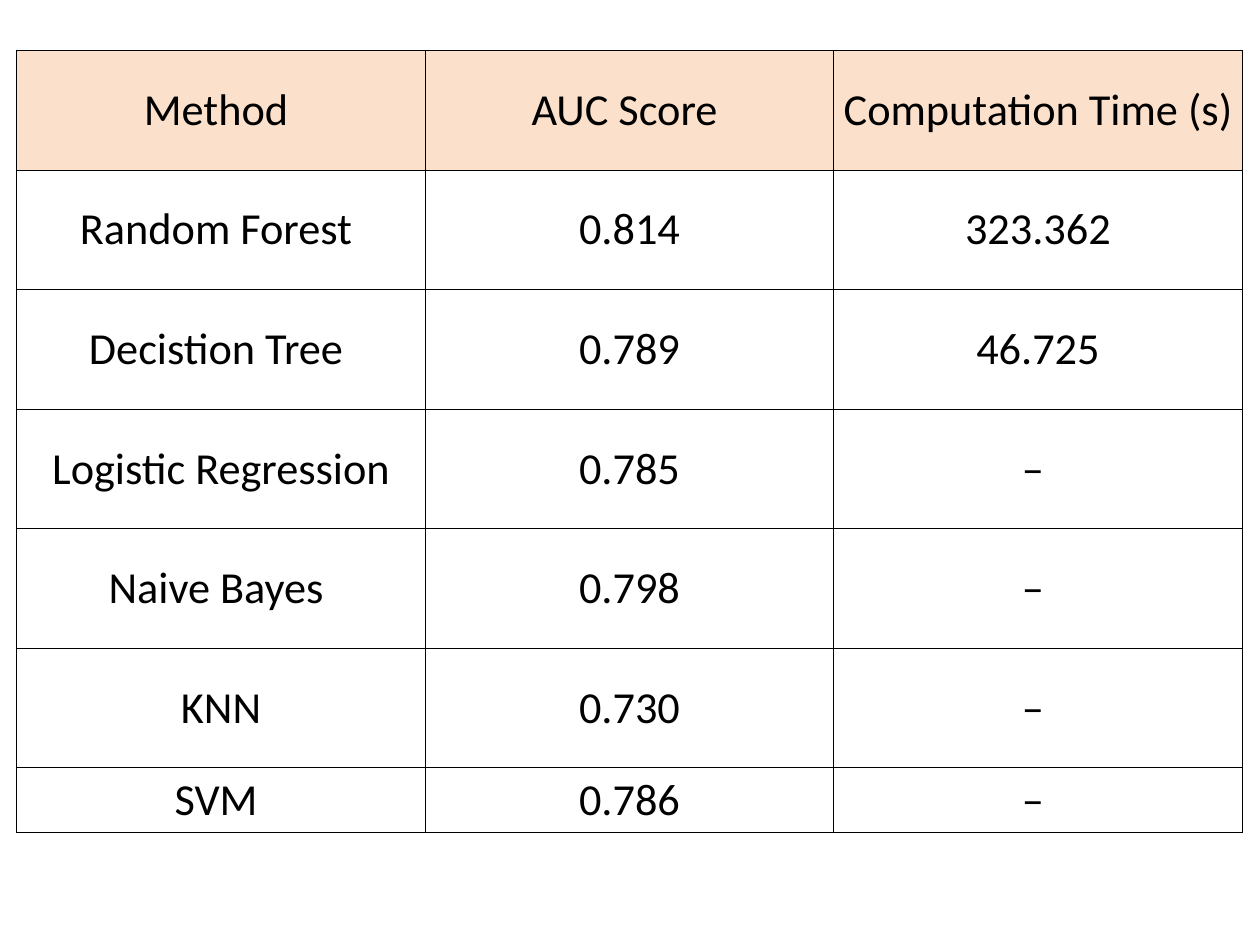
from dataclasses import dataclass

from lxml.etree import SubElement as Sub
from pptx import Presentation
from pptx.dml.color import RGBColor as RGB
from pptx.enum.text import MSO_ANCHOR as Anchor, PP_ALIGN as Align
from pptx.oxml.ns import qn
from pptx.util import Inches, Pt


@dataclass(frozen=True)
class Theme:
    font: str = "Calibri"
    size: int = 36
    ink: str = "000000"
    head: str = "FBE1CC"
    line: int = 1


THEME = Theme()
COL_WIDTH = 4.61
ROW_HEIGHT = 1.35
LAST_HEIGHT = 0.73
# Trailing spaces count in the centring of the text.
SCORES = [
    ("Method ", "AUC Score ", "Computation Time (s) "),
    ("Random Forest ", "0.814", "323.362"),
    ("Decistion Tree ", "0.789", "46.725"),
    ("Logistic Regression", "0.785", "– "),
    ("Naive Bayes ", "0.798", "– "),
    ("KNN", "0.730", "– "),
    ("SVM ", "0.786", "– "),
]


def add_borders(cell):
    props = cell._tc.get_or_add_tcPr()
    for side in ("lnL", "lnR", "lnT", "lnB"):
        line = Sub(props, qn(f"a:{side}"), w=str(Pt(THEME.line)))
        fill = Sub(line, qn("a:solidFill"))
        Sub(fill, qn("a:srgbClr"), val=THEME.ink)


def fill_cell(cell, text, is_head):
    cell.text = text
    cell.vertical_anchor = Anchor.MIDDLE
    para = cell.text_frame.paragraphs[0]
    para.alignment = Align.CENTER
    para.font.name = THEME.font
    para.font.size = Pt(THEME.size)
    para.font.bold = False
    para.font.color.rgb = RGB.from_string(THEME.ink)
    add_borders(cell)
    if is_head:
        cell.fill.solid()
        cell.fill.fore_color.rgb = RGB.from_string(THEME.head)
    else:
        cell.fill.background()


def add_grid(slide, rows, left, top):
    heights = [ROW_HEIGHT] * (len(rows) - 1) + [LAST_HEIGHT]
    count = len(rows[0])
    table = slide.shapes.add_table(
        len(rows), count, Inches(left), Inches(top),
        Inches(COL_WIDTH * count), Inches(sum(heights)),
    ).table
    table.first_row = table.horz_banding = False
    for col in table.columns:
        col.width = Inches(COL_WIDTH)
    for i, (row, height) in enumerate(zip(rows, heights)):
        table.rows[i].height = Inches(height)
        for j, text in enumerate(row):
            fill_cell(table.cell(i, j), text, is_head=i == 0)


def main():
    deck = Presentation()
    deck.slide_width = Inches(14.22)
    deck.slide_height = Inches(10.67)
    slide = deck.slides.add_slide(deck.slide_layouts[6])
    add_grid(slide, SCORES, left=0.19, top=0.57)
    deck.save("out.pptx")


if __name__ == "__main__":
    main()
